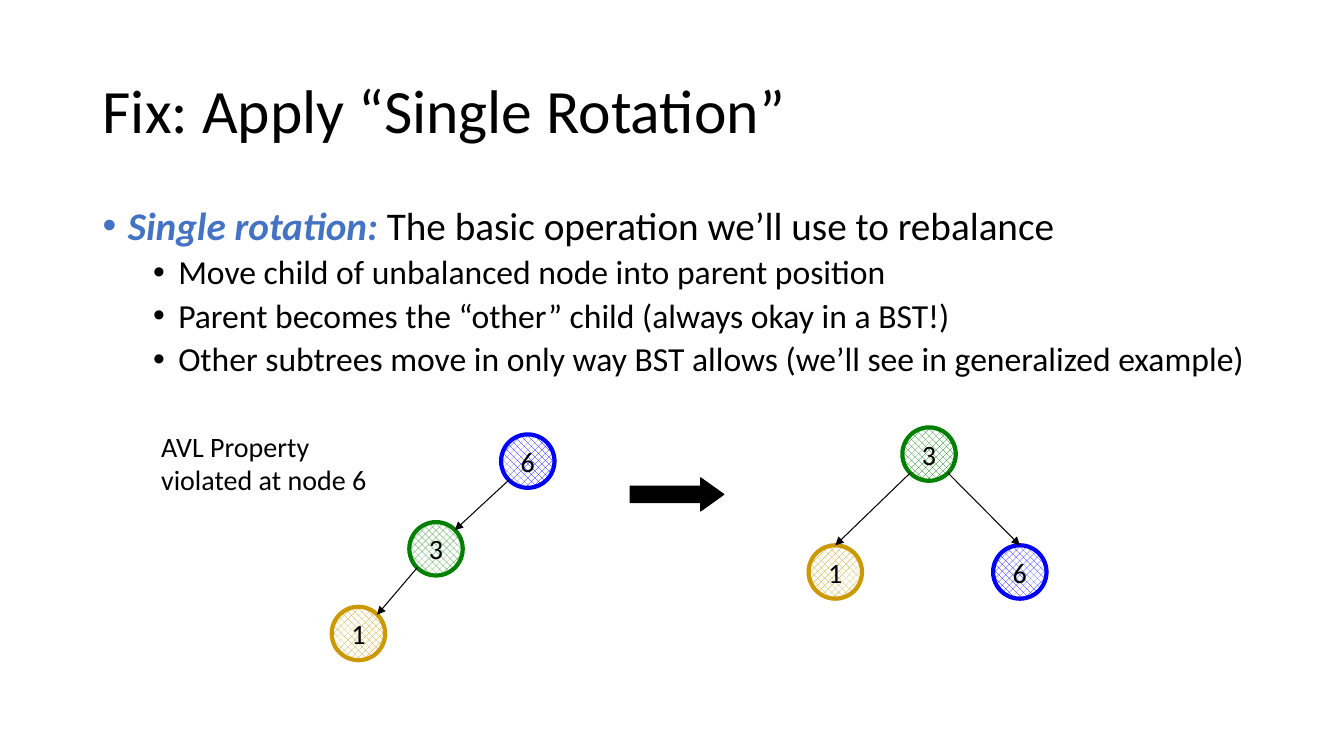
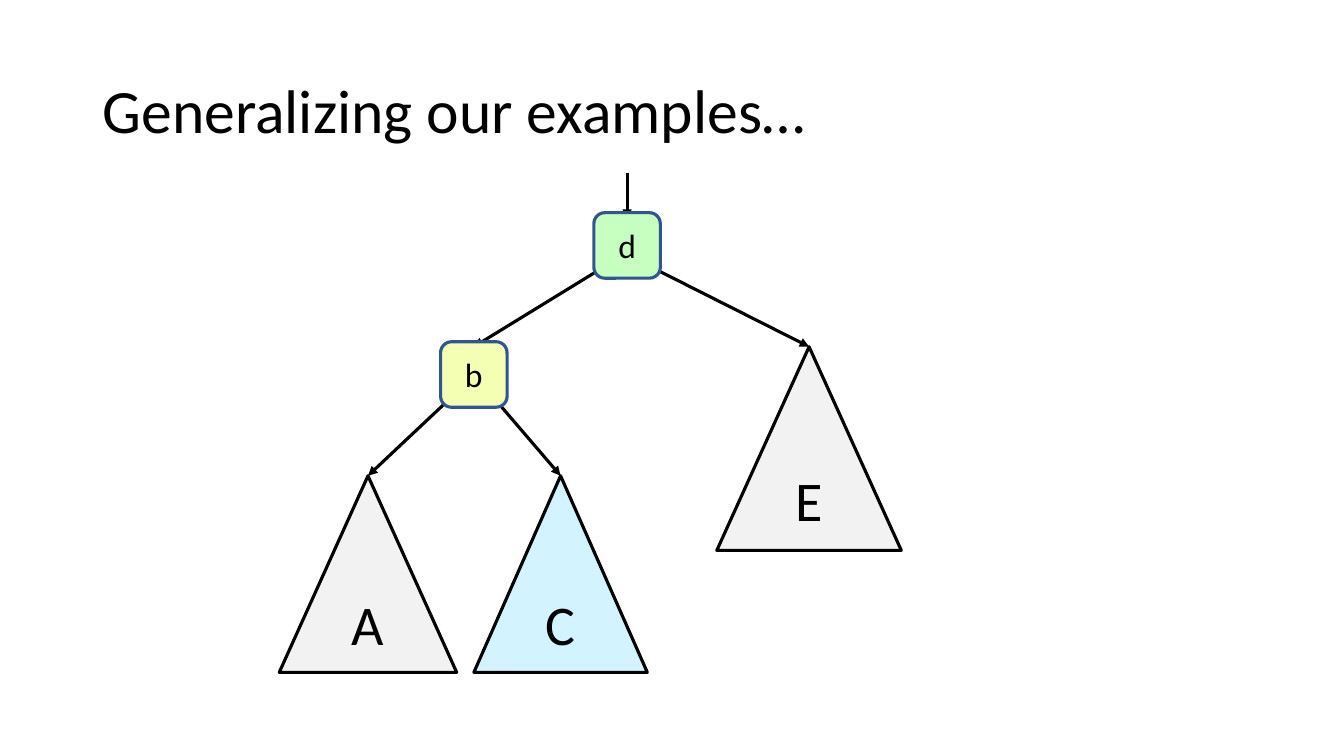
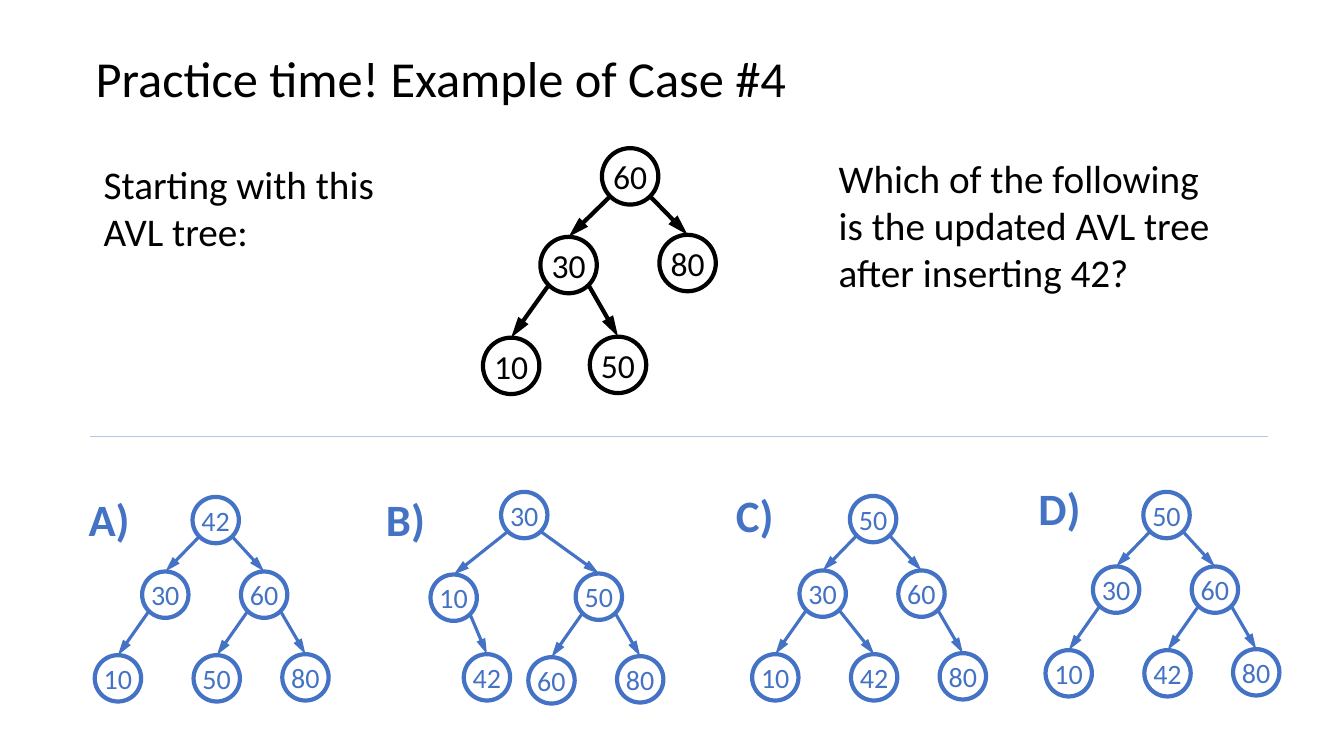
from lxml import etree
from pptx import Presentation
from pptx.dml.color import RGBColor
from pptx.enum.dml import MSO_PATTERN
from pptx.enum.shapes import MSO_CONNECTOR, MSO_SHAPE
from pptx.enum.text import MSO_ANCHOR, PP_ALIGN
from pptx.oxml.ns import qn
from pptx.util import Inches, Pt

OVAL = MSO_SHAPE.OVAL
TRIANGLE = MSO_SHAPE.ISOSCELES_TRIANGLE
ROUND_RECT = MSO_SHAPE.ROUNDED_RECTANGLE
RIGHT_ARROW = MSO_SHAPE.RIGHT_ARROW
STRAIGHT = MSO_CONNECTOR.STRAIGHT
PCT50 = MSO_PATTERN.PERCENT_50
MIDDLE, TOP = MSO_ANCHOR.MIDDLE, MSO_ANCHOR.TOP
CENTER, LEFT = PP_ALIGN.CENTER, PP_ALIGN.LEFT

rgb = RGBColor.from_string
FONT = "Calibri"
BLACK, WHITE, BLUE = "000000", "FFFFFF", "4472C4"
GREEN, GOLD, NAVY = "008000", "CC9900", "0000FF"


def draw(shapes, kind, box, text="", color=BLACK, fill=None, line=None,
         width=2.25, wrap=True, anchor=MIDDLE, spacing=None, **font):
    """Add a text box (kind None) or a preset shape with centred text."""
    box = [Inches(v) for v in box]
    if kind is None:
        sp = shapes.add_textbox(*box)
    else:
        sp = shapes.add_shape(kind, *box)
        sp.shadow.inherit = False
        sp.line.color.rgb = rgb(line)
        sp.line.width = Pt(width)
        if fill:
            sp.fill.solid()
            sp.fill.fore_color.rgb = rgb(fill)
        else:
            sp.fill.background()
    tf = sp.text_frame
    tf.word_wrap = wrap
    tf.vertical_anchor = anchor
    if text:
        p = tf.paragraphs[0]
        p.alignment = LEFT if kind is None else CENTER
        p.line_spacing = spacing
        r = p.add_run()
        r.text = text
        r.font.color.rgb = rgb(color)
        for name, value in {"name": FONT, **font}.items():
            setattr(r.font, name, value)
    return sp


def connect(shapes, start, end, color=BLACK, width=2.25, head="med", child=None):
    """Add a straight line; head is the arrowhead length, child its target."""
    cxn = shapes.add_connector(STRAIGHT, *[Inches(v) for v in (*start, *end)])
    cxn.line.color.rgb = rgb(color)
    cxn.line.width = Pt(width)
    if head:
        etree.SubElement(cxn.line._get_or_add_ln(), qn("a:tailEnd"),
                         type="triangle", w="med", len=head)
    etree.SubElement(cxn._element.spPr, qn("a:effectLst"))
    if child is not None:
        cxn.end_connect(child, 0)


prs = Presentation()
prs.slide_width, prs.slide_height = Inches(13.33), Inches(7.5)

# Slides and titles
TITLES = [
    ("Fix: Apply “Single Rotation”", (0.92, 0.4, 11.5, 1.45), 44),
    ("Generalizing our examples…", (0.92, 0.4, 11.5, 1.45), 44),
    ("Practice time! Example of Case #4", (0.85, 0.24, 11.5, 1.14), 36),
]
slides = []
for title, box, size in TITLES:
    s = prs.slides.add_slide(prs.slide_layouts[6])
    draw(s.shapes, None, box, title, spacing=0.9, size=Pt(size))
    slides.append(s.shapes)
rotation, general, practice = slides

# Slide 1: bullets, each with its level and runs
BULLETS = [
    (0, [("Single rotation: ", {"bold": True, "italic": True}, BLUE),
         ("The basic operation we’ll use to rebalance", {}, BLACK)]),
    (1, [("Move child of unbalanced node into parent position", {}, BLACK)]),
    (1, [("Parent becomes the “other” child (always okay in a BST!)", {}, BLACK)]),
    (1, [("Other subtrees move in only way BST allows "
          "(we’ll see in generalized example)", {}, BLACK)]),
]
tf = draw(rotation, None, (0.92, 2, 11.83, 2.1), anchor=TOP).text_frame
for i, (level, runs) in enumerate(BULLETS):
    p = tf.add_paragraph() if i else tf.paragraphs[0]
    p.level = level
    pPr = p._p.get_or_add_pPr()
    pPr.set("marL", str(Inches(0.25 + 0.5 * level)))
    pPr.set("indent", str(Inches(-0.25)))
    etree.SubElement(pPr, qn("a:buFont"), typeface="Arial")
    etree.SubElement(pPr, qn("a:buChar"), char="•")
    p.line_spacing = 0.9
    if i:
        p.space_before = Pt(5)
    for text, fmt, color in runs:
        r = p.add_run()
        r.text = text
        r.font.color.rgb = rgb(color)
        for name, value in {"name": FONT, "size": Pt(28 - 4 * level), **fmt}.items():
            setattr(r.font, name, value)

# Slide 1: note and block arrow
draw(rotation, None, (1.5, 4.21, 2.46, 0.77), "AVL Property violated at node 6",
     anchor=TOP, size=Pt(20))
sp = draw(rotation, RIGHT_ARROW, (6.25, 4.74, 0.93, 0.33), fill=BLACK,
          line=BLACK, width=0.75)
sp.adjustments[1] = 0.7

# Slide 2: subtrees, arrows, then the nodes over the arrow tips
SUBTREES = [
    ("E", (7.11, 3.44, 1.83, 2.02), "F2F2F2", (6.42, 2.63)),
    ("C", (4.7, 4.72, 1.72, 1.95), "D2F3FF", (4.9, 3.95)),
    ("A", (2.77, 4.72, 1.76, 1.95), "F2F2F2", (4.5, 3.92)),
]
for label, box, fill, start in SUBTREES:
    sp = draw(general, TRIANGLE, box, label, fill=fill, line=BLACK, size=Pt(40))
    connect(general, start, (box[0] + box[2] / 2, box[1]), child=sp)
connect(general, (6.02, 2.63), (4.7, 3.44))
connect(general, (6.22, 1.72), (6.22, 2.17))
for label, x, y, fill in [("b", 4.37, 3.39, "F5FFB4"), ("d", 5.89, 2.11, "C6FFBF")]:
    draw(general, ROUND_RECT, (x, y, 0.66, 0.65), label, fill=fill,
         line="325491", size=Pt(24))

# Slide 3: prompts, divider and option letters
for text, box in [
    ("Starting with this AVL tree:", (0.93, 1.54, 3.4, 1.04)),
    ("Which of the following is the updated AVL tree after inserting 42?",
     (8.22, 1.48, 3.91, 1.51)),
]:
    draw(practice, None, box, text, anchor=TOP, size=Pt(28))
connect(practice, (0.89, 4.33), (12.58, 4.33), "B4C7E7", 0.5, head=None)
for text, x, y in [("A)", 0.78, 4.83), ("B)", 3.73, 4.83),
                   ("C)", 7.2, 4.79), ("D)", 10.2, 4.72)]:
    draw(practice, None, (x, y, 0.63, 0.67), text, BLUE, anchor=TOP,
         size=Pt(32), bold=True)

# Trees: a node's key is its way down from the root, its value the offset
CHAIN = {"": (0, 0), "L": (-0.91, 0.87), "LL": (-1.68, 1.71)}
ROTATED = {"": (0, 0), "L": (-0.93, 1.17), "R": (0.9, 1.17)}
START = {"": (0, 0), "L": (-0.61, 0.88), "R": (0.57, 0.86),
         "LL": (-1.18, 1.88), "LR": (-0.12, 1.87)}
OPTION = {"": (0, 0), "L": (-0.5, 0.74), "R": (0.48, 0.74), "LL": (-0.97, 1.57),
          "LR": (0.01, 1.57), "RL": (0.01, 1.57), "RR": (0.89, 1.56)}
OPTION_B = {"": (0, 0), "L": (-0.7, 0.82), "R": (0.74, 0.81),
            "LR": (-0.37, 1.61), "RL": (0.27, 1.64), "RR": (1.15, 1.63)}
HATCHED = {"size": 0.53, "font": 20, "edge": 0.75, "head": "med", "color": None}
LARGE = {"size": 0.56, "font": 24, "edge": 3, "head": "lg", "color": BLACK}
SMALL = {"size": 0.46, "font": 20, "edge": 2.25, "head": "lg", "color": BLUE}
NODE_COLORS = {"1": GOLD, "3": GREEN, "6": NAVY}
TREES = [
    (rotation, 4.97, 4.31, CHAIN, HATCHED, {"": "6", "L": "3", "LL": "1"}),
    (rotation, 8.95, 4.24, ROTATED, HATCHED, {"": "3", "L": "1", "R": "6"}),
    (practice, 5.97, 1.47, START, LARGE,
     {"": "60", "L": "30", "R": "80", "LL": "10", "LR": "50"}),
    (practice, 1.91, 4.93, OPTION, SMALL,
     {"": "42", "L": "30", "R": "60", "LL": "10", "RL": "50", "RR": "80"}),
    (practice, 4.97, 4.88, OPTION_B, SMALL,
     {"": "30", "L": "10", "R": "50", "LR": "42", "RL": "60", "RR": "80"}),
    (practice, 8.43, 4.92, OPTION, SMALL,
     {"": "50", "L": "30", "R": "60", "LL": "10", "LR": "42", "RR": "80"}),
    (practice, 11.34, 4.88, OPTION, SMALL,
     {"": "50", "L": "30", "R": "60", "LL": "10", "RL": "42", "RR": "80"}),
]
for shapes, left, top, layout, look, labels in TREES:
    group = shapes.add_group_shape().shapes
    size = look["size"]
    diagonal = size * 0.35  # from a circle's centre to its 45° point
    for key, label in labels.items():
        x, y = left + layout[key][0], top + layout[key][1]
        sp = draw(group, OVAL, (x, y, size, size), label, look["color"] or BLACK,
                  line=look["color"] or NODE_COLORS[label], width=3, wrap=False,
                  size=Pt(look["font"]))
        if look is HATCHED:
            sp.fill.patterned()
            sp.fill.pattern = PCT50
            sp.fill.fore_color.rgb = rgb(NODE_COLORS[label])
            sp.fill.back_color.rgb = rgb(WHITE)
        if not key:
            continue
        # Edge from the parent's lower diagonal point
        dx, dy = layout[key[:-1]]
        side = -diagonal if key[-1] == "L" else diagonal
        start = left + dx + size / 2 + side, top + dy + size / 2 + diagonal
        end, child = (x + size / 2, y), sp
        if layout is CHAIN:
            end, child = (x + size / 2 + diagonal, y + size / 2 - diagonal), None
        connect(group, start, end, look["color"] or BLACK, look["edge"],
                look["head"], child)

prs.save("out.pptx")
